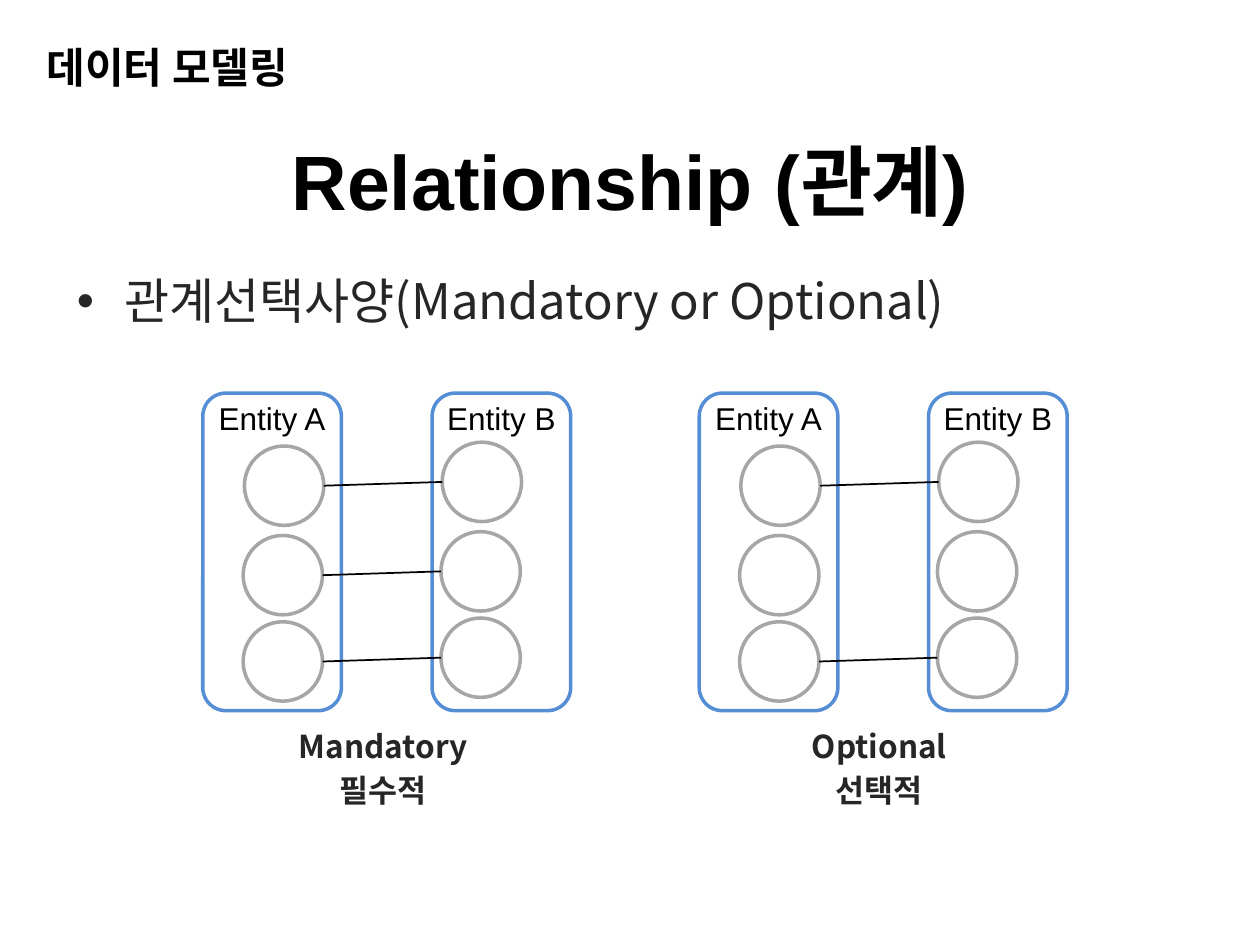
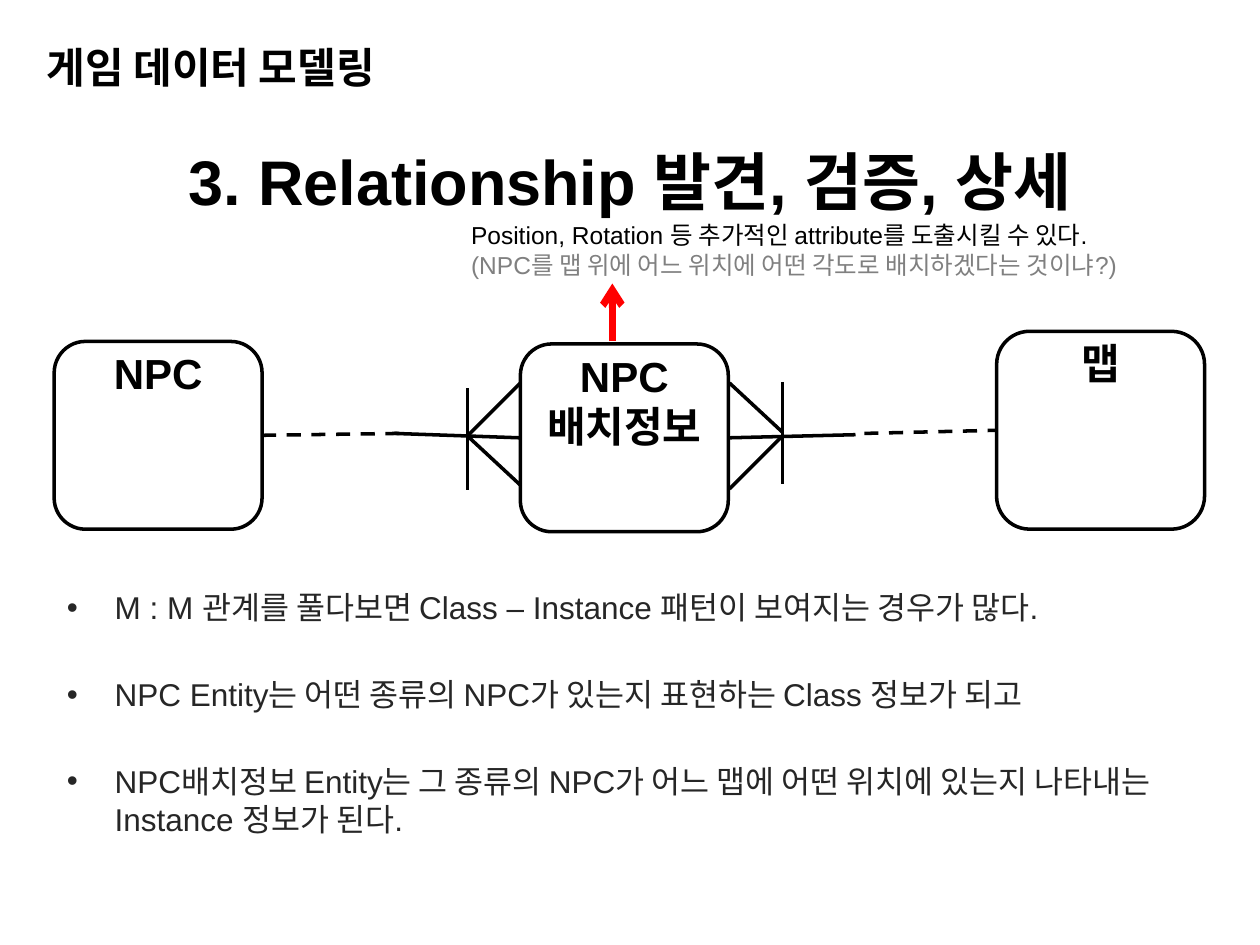
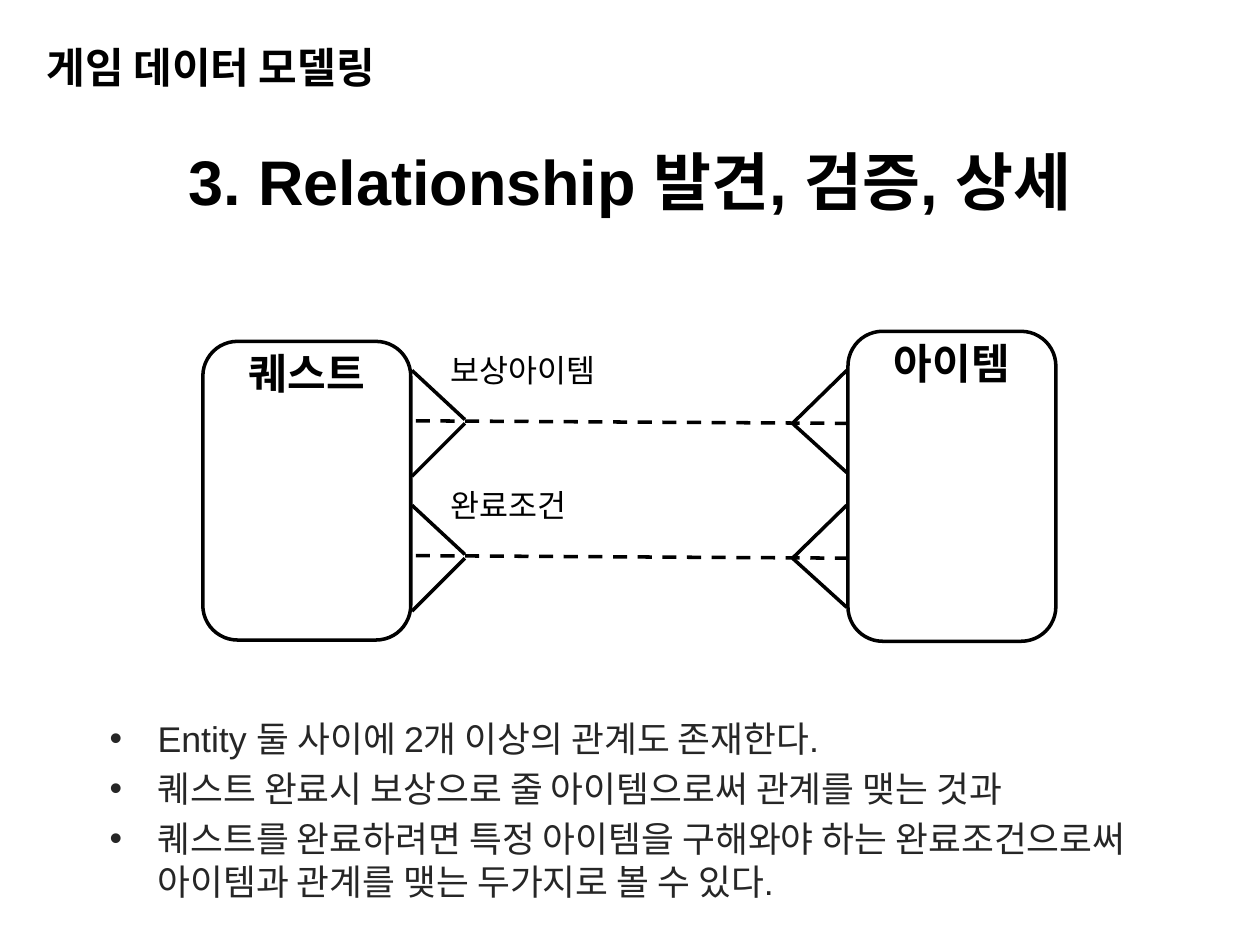
from lxml.etree import SubElement
from pptx import Presentation
from pptx.dml.color import RGBColor
from pptx.enum.dml import MSO_LINE
from pptx.enum.shapes import MSO_CONNECTOR, MSO_SHAPE
from pptx.enum.text import MSO_ANCHOR, MSO_AUTO_SIZE, PP_ALIGN
from pptx.oxml.ns import qn
from pptx.util import Inches, Pt

COLORS = {
    "ink": "000000",
    "body": "262626",
    "muted": "808080",
    "entity": "558ED5",
    "member": "A6A6A6",
    "accent": "FF0000",
}
LATIN, KOREAN = "Arial", "Noto Sans CJK KR"
COLUMNS, ROWS = 100, 75
TWO_CONTENT = 3
TOP, LEFT, RIGHT = 0, 1, 3
HANGING = Inches(0.38)


def rgb(name):
    return RGBColor.from_string(COLORS[name])


def write(shape, text, size=18, color="ink", font=LATIN, bold=False,
          align=PP_ALIGN.LEFT, gap=0, bullet=False, anchor=MSO_ANCHOR.TOP):
    """Put each line of text in its own paragraph; color may be a list, one per line."""
    frame = shape.text_frame
    frame.word_wrap = True
    frame.auto_size = MSO_AUTO_SIZE.NONE
    frame.vertical_anchor = anchor
    lines = text.split("\n")
    shades = color if isinstance(color, list) else [color] * len(lines)
    for number, (line, shade) in enumerate(zip(lines, shades)):
        paragraph = frame.add_paragraph() if number else frame.paragraphs[0]
        properties = paragraph._p.get_or_add_pPr()
        properties.set("marL", str(HANGING if bullet else 0))
        properties.set("indent", str(-HANGING if bullet else 0))
        if bullet:
            SubElement(properties, qn("a:buFont"), typeface=LATIN)
            SubElement(properties, qn("a:buChar"), char="•")
        else:
            SubElement(properties, qn("a:buNone"))
        paragraph.alignment = align
        paragraph.space_before = Pt(gap if number else 0)
        run = paragraph.add_run()
        run.text = line
        run.font.name, run.font.size, run.font.bold = font, Pt(size), bold
        run.font.color.rgb = rgb(shade)
        SubElement(run._r.get_or_add_rPr(), qn("a:ea"), typeface=KOREAN)


class Deck:
    """Holds the presentation and its current slide; lengths are grid columns and rows."""

    def __init__(self):
        self.presentation = Presentation()
        self.presentation.slide_width = Inches(10)
        self.presentation.slide_height = Inches(7.5)
        self.slide = None

    def grid(self, *lengths):
        """Turn alternating columns and rows into slide lengths."""
        units = (self.presentation.slide_width / COLUMNS,
                 self.presentation.slide_height / ROWS)
        return [round(length * units[i % 2]) for i, length in enumerate(lengths)]

    def place(self, shape, *area):
        shape.left, shape.top, shape.width, shape.height = self.grid(*area)
        return shape

    def new_slide(self, chapter, title, title_size):
        layout = self.presentation.slide_layouts[TWO_CONTENT]
        self.slide = self.presentation.slides.add_slide(layout)
        heading = self.place(self.slide.shapes.title, 0, 8.4, 100, 11.8)
        write(heading, title, size=title_size, bold=True,
              align=PP_ALIGN.CENTER, anchor=MSO_ANCHOR.MIDDLE)
        header = self.place(self.slide.placeholders[1], 2.7, 2.8, 45.7, 5.5)
        write(header, chapter, size=24, bold=True)

    def bullets(self, area, text, **style):
        points = self.place(self.slide.placeholders[2], *area)
        write(points, text, color="body", bullet=True, **style)

    def label(self, area, text, **style):
        write(self.slide.shapes.add_textbox(*self.grid(*area)), text, **style)

    def outline(self, kind, area, color):
        shape = self.slide.shapes.add_shape(kind, *self.grid(*area))
        shape.shadow.inherit = False
        shape.fill.background()
        shape.line.color.rgb = rgb(color)
        shape.line.width = Pt(2)
        return shape

    def entity(self, area, name, color="ink", **style):
        box = self.outline(MSO_SHAPE.ROUNDED_RECTANGLE, area, color)
        left, top, width, _ = area
        self.label((left, top, width, 5 * len(name.split("\n"))), name,
                   align=PP_ALIGN.CENTER, **style)
        return box

    def line(self, start, end, color="ink", width=2, dashed=False, arrow=False):
        link = self.slide.shapes.add_connector(
            MSO_CONNECTOR.STRAIGHT, *self.grid(*start, *end))
        link.line.color.rgb = rgb(color)
        link.line.width = Pt(width)
        if dashed:
            link.line.dash_style = MSO_LINE.DASH
        if arrow:
            SubElement(link.line._get_or_add_ln(), qn("a:tailEnd"), type="arrow")
        SubElement(link._element.spPr, qn("a:effectLst"))
        return link

    def crow_foot(self, tip, edge):
        """Draw two toes that spread from the tip to an entity's edge column."""
        column, row = tip
        points_right = column > edge
        split, fall = (0.3, 4.2) if points_right else (0, 3.9)
        self.line((edge, row - 4.2), (column, row - split))
        self.line((edge, row + fall), tip)


def relation_group(deck, left, linked_rows, caption):
    """Draw two entities with three members each and link the given member rows."""
    for offset, name in ((0, "Entity A"), (18.2, "Entity B")):
        deck.entity((left + offset, 31.2, 11, 25.2), name, color="entity")
    size = 6.3
    for row, (shift, drop) in enumerate(((0, 0), (-0.1, 7.1), (-0.1, 13.95))):
        a, b = left + 3.3 + shift, left + 19 + shift
        a_top, b_top = 35.4 + drop, 35.1 + drop
        for x, y in ((a, a_top), (b, b_top)):
            deck.outline(MSO_SHAPE.OVAL, (x, y, size, size), "member")
        if row in linked_rows:
            deck.line((a + size, a_top + size / 2), (b, b_top + size / 2), width=1)
    deck.label((left + 3.3, 57.2, 22, 7.1), caption, color="body", font=KOREAN,
               bold=True, align=PP_ALIGN.CENTER, gap=3.6)


def relationship_slide(deck):
    deck.new_slide("데이터 모델링", "Relationship (관계)", 44)
    deck.bullets((5.1, 21, 85.7, 6.3), "관계선택사양(Mandatory or Optional)",
                 size=28, font=KOREAN)
    relation_group(deck, 16.1, (0, 1, 2), "Mandatory\n필수적")
    relation_group(deck, 55.5, (0, 2), "Optional\n선택적")


def placement_slide(deck):
    deck.new_slide("게임 데이터 모델링", "3. Relationship 발견, 검증, 상세", 36)
    npc = deck.entity((4.3, 27.1, 16.5, 14.9), "NPC", size=24, bold=True)
    stage = deck.entity((79.1, 26.3, 16.5, 15.7), "맵", size=24, bold=True)
    placement = deck.entity((41.3, 27.3, 16.5, 14.9), "NPC\n배치정보",
                            size=24, bold=True)
    for tip, edge, bar_top in ((37.1, 41.3, 30.8), (62.1, 57.9, 30.3)):
        deck.crow_foot((tip, 34.6), edge)
        deck.line((tip, bar_top), (tip, bar_top + 8.1))
    deck.line((41.3, 34.5), (31.3, 34.4)).begin_connect(placement, LEFT)
    deck.line((57.8, 34.4), (67.9, 34.5)).begin_connect(placement, RIGHT)
    deck.line((20.8, 34.3), (31.7, 34.4), dashed=True).begin_connect(npc, RIGHT)
    deck.line((68.6, 34.4), (79.1, 34.6), dashed=True).end_connect(stage, LEFT)
    deck.line((48.6, 27.1), (48.6, 22.5), color="accent", width=4, arrow=True)
    deck.label((36.4, 17, 58.5, 5.7),
               "Position, Rotation 등 추가적인 attribute를 도출시킬 수 있다.\n"
               "(NPC를 맵 위에 어느 위치에 어떤 각도로 배치하겠다는 것이냐?)",
               size=14, color=["ink", "muted"])
    deck.bullets((4.3, 46.2, 90.6, 24.4),
                 "M : M 관계를 풀다보면 Class – Instance 패턴이 보여지는 경우가 많다.\n"
                 "NPC Entity는 어떤 종류의 NPC가 있는지 표현하는 Class 정보가 되고\n"
                 "NPC배치정보 Entity는 그 종류의 NPC가 어느 맵에 어떤 위치에 있는지 "
                 "나타내는 Instance 정보가 된다.", gap=28)


def quest_slide(deck):
    deck.new_slide("게임 데이터 모델링", "3. Relationship 발견, 검증, 상세", 36)
    deck.entity((16.1, 27.1, 16.5, 23.7), "퀘스트", size=24, bold=True)
    deck.entity((67.3, 26.3, 16.5, 24.6), "아이템", size=24, bold=True)
    for row, relation in ((33.6, "보상아이템"), (44.3, "완료조건")):
        deck.crow_foot((36.9, row), 32.7)
        deck.crow_foot((62.9, row), 67.2)
        deck.line((33, row - 0.2), (67.2, row), dashed=True)
        deck.label((34.8, row - 6.2, 14.5, 4), relation)
    deck.bullets((7.7, 56.4, 88, 15.7),
                 "Entity 둘 사이에 2개 이상의 관계도 존재한다.\n"
                 "퀘스트 완료시 보상으로 줄 아이템으로써 관계를 맺는 것과\n"
                 "퀘스트를 완료하려면 특정 아이템을 구해와야 하는 완료조건으로써 "
                 "아이템과 관계를 맺는 두가지로 볼 수 있다.", size=20.4, gap=4)


def main():
    deck = Deck()
    relationship_slide(deck)
    placement_slide(deck)
    quest_slide(deck)
    deck.presentation.save("out.pptx")


if __name__ == "__main__":
    main()
